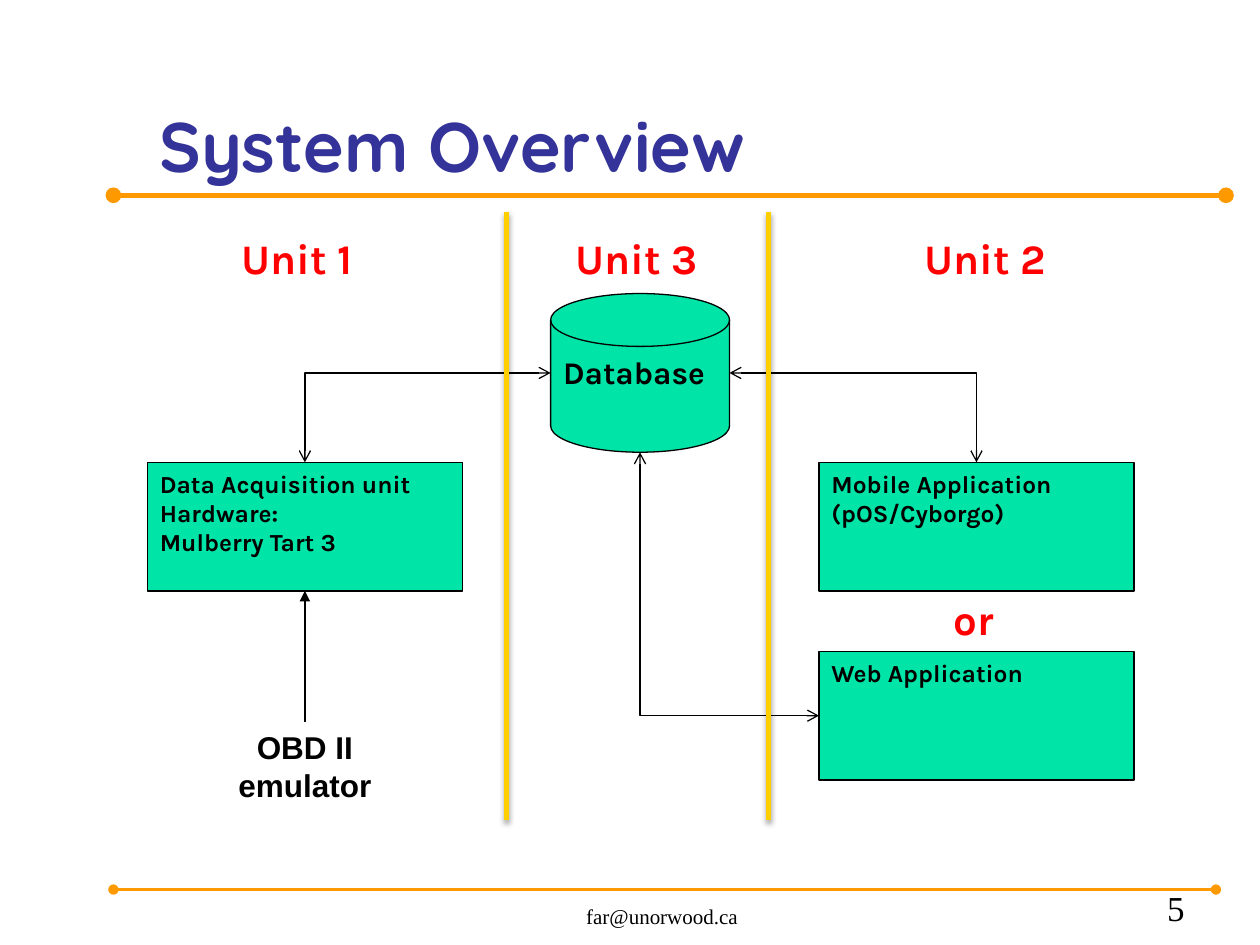
from lxml.etree import SubElement
from pptx import Presentation
from pptx.dml.color import RGBColor
from pptx.enum.shapes import MSO_CONNECTOR, MSO_SHAPE
from pptx.enum.text import MSO_ANCHOR, PP_ALIGN
from pptx.oxml.ns import qn
from pptx.util import Inches, Pt


def color(code):
    """Turn a hex string into a colour."""
    return RGBColor.from_string(code)


class Deck:
    """Hold the style and the current slide."""

    ink, green, red = "000000", "00E4A8", "FF0000"
    orange, yellow, navy = "FF9900", "FFCF01", "333399"
    head, body, plain, serif = "Quicksand", "Karla", "Arial", "Times New Roman"

    def __init__(self):
        """Start a deck with one blank slide."""
        self.deck = Presentation()
        self.deck.slide_width, self.deck.slide_height = Inches(10), Inches(7.5)
        self.slide = self.deck.slides.add_slide(self.deck.slide_layouts[6])

    def words(self, shape, lines, size, font, tint, bold, align, anchor, wrap):
        """Fill a shape with paragraphs of one style."""
        frame = shape.text_frame
        frame.word_wrap, frame.vertical_anchor = wrap, anchor
        frame.text = "\n".join(lines)
        for para in frame.paragraphs:
            para.alignment = align
            face = para.font
            face.size, face.name, face.bold = Pt(size), font, bold
            face.color.rgb = color(tint)

    def text(self, box, lines, size, font, tint, bold=True, align=PP_ALIGN.LEFT,
             anchor=MSO_ANCHOR.TOP, wrap=True):
        """Add a text box."""
        shape = self.slide.shapes.add_textbox(*map(Inches, box))
        self.words(shape, lines, size, font, tint, bold, align, anchor, wrap)

    def label(self, box, word):
        """Add a red label."""
        self.text(box, [word], 24, self.body, self.red, wrap=False)

    def node(self, kind, box, lines, size=14):
        """Add a green shape with text."""
        shape = self.slide.shapes.add_shape(kind, *map(Inches, box))
        shape.shadow.inherit = False
        shape.fill.solid()
        shape.fill.fore_color.rgb = color(self.green)
        shape.line.color.rgb = color(self.ink)
        shape.line.width = Pt(0.75)
        self.words(shape, lines, size, self.body, self.ink, True,
                   PP_ALIGN.LEFT, MSO_ANCHOR.TOP, False)
        return shape

    def line(self, start, end, tint, width, head=None, tail=None,
             kind=MSO_CONNECTOR.STRAIGHT, shade=False):
        """Add a connector with optional ends and shadow."""
        link = self.slide.shapes.add_connector(kind, *map(Inches, start + end))
        link.line.color.rgb = color(tint)
        link.line.width = Pt(width)
        props = link._element.spPr
        for tag, tip in (("a:headEnd", head), ("a:tailEnd", tail)):
            if tip:
                SubElement(props.find(qn("a:ln")), qn(tag), type=tip)
        fx = SubElement(props, qn("a:effectLst"))
        if shade:
            cast = SubElement(fx, qn("a:outerShdw"), blurRad=str(Pt(3.1)),
                              dist=str(Pt(1.8)), dir="5400000", rotWithShape="0")
            tone = SubElement(cast, qn("a:srgbClr"), val=self.ink)
            SubElement(tone, qn("a:alpha"), val="35000")
        return link

    def bend(self, start, end):
        """Add a two-way arrow that runs across, then up or down."""
        link = self.line(start, end, self.ink, 0.75, "arrow", "arrow",
                         MSO_CONNECTOR.ELBOW)
        link._element.spPr.find(qn("a:prstGeom")).set("prst", "bentConnector2")

    def save(self):
        """Save the deck."""
        self.deck.save("out.pptx")


def main():
    """Build the system overview."""
    deck = Deck()
    for y, right, width in ((1.55, 9.73, 3), (7.06, 9.65, 1.5)):
        deck.line((0.9, y), (right, y), deck.orange, width, "oval", "oval")
    low = MSO_ANCHOR.BOTTOM
    deck.text((1.17, 0.28, 8.61, 1.25), ["System Overview"], 40, deck.head,
              deck.navy, anchor=low)
    deck.text((3.67, 6.98, 3.17, 0.44), ["far@unorwood.ca"], 12, deck.serif,
              deck.ink, False, PP_ALIGN.CENTER, low)
    deck.text((7.42, 6.98, 2.08, 0.44), ["5"], 20, deck.serif, deck.ink,
              False, PP_ALIGN.RIGHT, low)

    deck.node(MSO_SHAPE.FLOWCHART_MAGNETIC_DISK, (4.37, 2.33, 1.42, 1.26),
              ["Database"], 18)
    rect, size = MSO_SHAPE.RECTANGLE, (2.5, 1.02)
    unit = deck.node(rect, (1.17, 3.67) + size,
                     ["Data Acquisition unit", "Hardware:", "Mulberry Tart 3"])
    deck.node(rect, (6.5, 3.67) + size, ["Mobile Application", "(pOS/Cyborgo)"])
    deck.node(rect, (6.5, 5.17) + size, ["Web Application"])

    deck.bend((4.37, 2.96), (2.42, 3.67))
    deck.bend((5.79, 2.96), (7.75, 3.67))
    deck.bend((6.5, 5.68), (5.08, 3.59))
    for x in (4.02, 6.1):
        deck.line((x, 1.68), (x, 6.51), deck.yellow, 3, shade=True)

    for x, word in ((1.82, "Unit 1"), (4.47, "Unit 3"), (7.24, "Unit 2")):
        deck.label((x, 1.8, 1.22, 0.5), word)
    deck.label((7.47, 4.66, 0.56, 0.5), "or")
    deck.text((1.57, 5.73, 1.7, 0.71), ["OBD II", "emulator"], 18, deck.plain,
              deck.ink, align=PP_ALIGN.CENTER)
    feed = deck.line((2.42, 5.73), (2.42, 4.69), deck.ink, 0.75, tail="triangle")
    feed.end_connect(unit, 2)
    deck.save()


if __name__ == "__main__":
    main()
